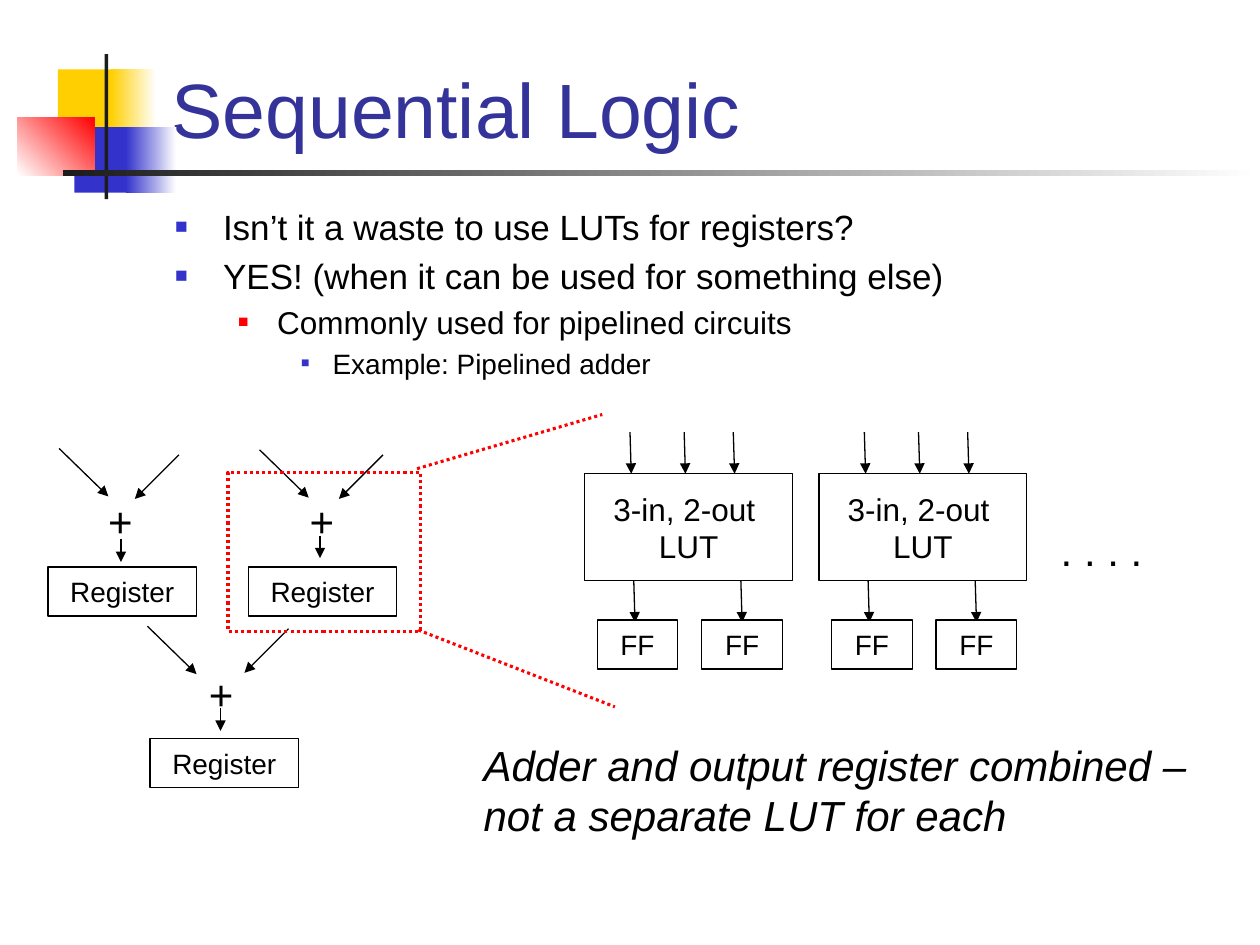
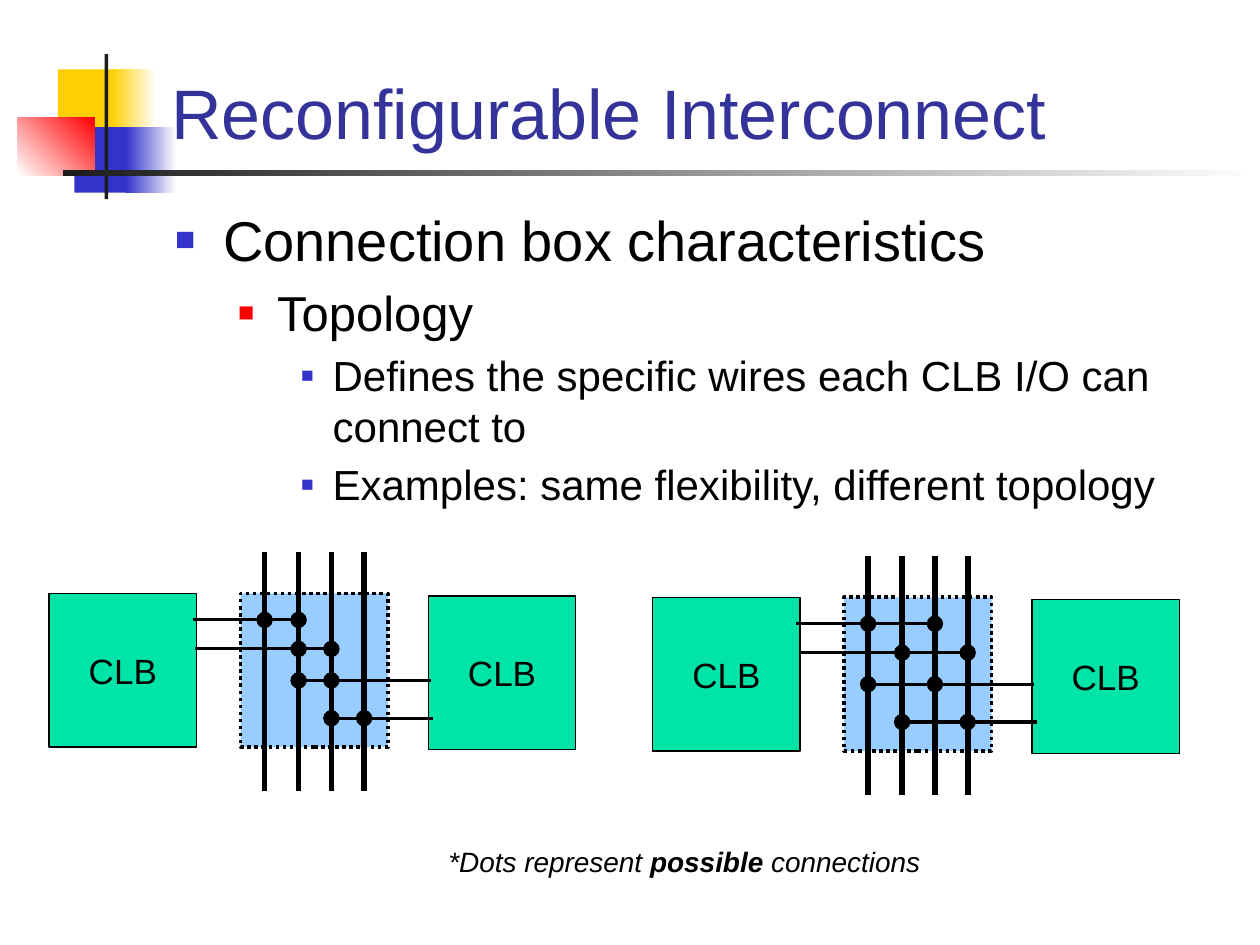
"""Build two slides on pipelined logic and reconfigurable interconnect."""
import pptx
import pptx.util
import pptx.dml.color
import pptx.enum.dml
import pptx.enum.shapes
import pptx.enum.text
import pptx.oxml.ns
from lxml import etree

Inches = pptx.util.Inches
Pt = pptx.util.Pt
qn = pptx.oxml.ns.qn
SHAPE = pptx.enum.shapes.MSO_SHAPE
ANCHOR = pptx.enum.text.MSO_ANCHOR
ALIGN = pptx.enum.text.PP_ALIGN

FONT = "Arial"
HUE = {"black": "000000", "white": "FFFFFF", "ink": "1C1C1C", "title": "333399",
       "blue": "3333CC", "gold": "FFCF01", "red": "FF0000", "green": "00E4A8",
       "sky": "99CCFF"}

BANDS = [
    ((0.46, 0.55, 0.48, 0.52), "gold", None, 0),
    ((0.88, 0.55, 0.36, 0.52), "gold", "white", 0),
    ((0.59, 1.01, 0.46, 0.52), "blue", None, 0),
    ((1, 1.01, 0.4, 0.52), "blue", "white", 0),
    ((0.14, 0.93, 0.61, 0.46), "white", "red", 45),
    ((0.83, 0.43, 0.03, 1.15), "ink", None, 0),
    ((0.5, 1.35, 9.5, 0.05), "ink", "white", 0),
]
LEVELS = [(0.38, -0.38, "blue", 60), (0.81, -0.31, "red", 55), (1.25, -0.25, "blue", 50)]

LOGIC = {
    "title": ("Sequential Logic", 44),
    "list": [
        (0, "Isn’t it a waste to use LUTs for registers?", 20),
        (0, "YES! (when it can be used for something else)", 20),
        (1, "Commonly used for pipelined circuits", 18),
        (2, "Example: Pipelined adder", 16),
    ],
}
ADDERS = [
    {"box": (0.38, 4.5), "plus": (0.76, 3.88), "left": (0.47, 3.56),
     "right": (1.42, 3.61), "down": (0.96, 4.28)},
    {"box": (1.97, 4.5), "plus": (2.36, 3.88), "left": (2.06, 3.57),
     "right": (3.04, 3.61), "down": (2.54, 4.25)},
    {"box": (1.19, 5.86), "plus": (1.56, 5.26), "left": (1.17, 4.97),
     "right": (2.29, 4.99), "down": (1.75, 5.62)},
]
STEPS = {"left": (0.39, 0.38), "right": (-0.35, 0.35), "down": (0, 0.18)}
LUTS = [4.64, 6.5]
PINS = [(0.36, 3.43), (0.79, 3.43), (1.18, 3.43), (0.39, 4.61), (1.24, 4.61)]
FLOPS = [0.1, 0.93]
ZOOM = [((3.31, 3.72), (4.78, 3.29)), ((3.32, 5), (4.88, 5.61))]

LINKS = {
    "title": ("Reconfigurable Interconnect", 40),
    "list": [
        (0, "Connection box characteristics", 32),
        (1, "Topology", 28),
        (2, "Defines the specific wires each CLB I/O can connect to", 24),
        (2, "Examples: same flexibility, different topology", 24),
    ],
}
WIRES = [2.1, 2.37, 2.63, 2.89]
ROWS = [(4.92, 1.53, "left"), (5.15, 1.55, "left"), (5.4, 3.42, "right"), (5.7, 3.44, "right")]
NETS = [
    (0, 0, [(0, 1), (1, 2), (1, 2), (2, 3)]),
    (4.79, 0.03, [(0, 2), (1, 3), (0, 2), (1, 3)]),
]
DOT = 0.12


def rgb(name):
    return pptx.dml.color.RGBColor.from_string(HUE[name])


def style(para, size, hue="black", italic=None):
    font = para.font
    font.name, font.size, font.italic = FONT, Pt(size), italic
    font.color.rgb = rgb(hue)


def draw(slide, spot, fill=None, edge="black", width=0.75, dots=False,
         kind=SHAPE.RECTANGLE, lines=(), size=16):
    shape = slide.shapes.add_shape(kind, *map(Inches, spot))
    shape.shadow.inherit = False
    if fill:
        shape.fill.solid()
        shape.fill.fore_color.rgb = rgb(fill)
    else:
        shape.fill.background()
    if edge:
        trim(shape.line, edge, width, dots)
    else:
        shape.line.fill.background()
    if lines:
        frame = shape.text_frame
        frame.text = "\n".join(lines)
        frame.word_wrap = False
        frame.vertical_anchor = ANCHOR.MIDDLE
        for para in frame.paragraphs:
            para.alignment = ALIGN.CENTER
            style(para, size)
    return shape


def trim(line, hue, width, dots):
    line.color.rgb = rgb(hue)
    line.width = Pt(width)
    if dots:
        line.dash_style = pptx.enum.dml.MSO_LINE.ROUND_DOT


def join(slide, start, end, hue="black", width=0.75, dots=False, head=False):
    line = slide.shapes.add_connector(
        pptx.enum.shapes.MSO_CONNECTOR.STRAIGHT, *map(Inches, (*start, *end)))
    trim(line.line, hue, width, dots)
    props = line._element.spPr
    if head:
        etree.SubElement(props.find(qn("a:ln")), qn("a:tailEnd"), type="triangle")
    etree.SubElement(props, qn("a:effectLst"))


def write(slide, spot, runs, size, italic=None):
    frame = slide.shapes.add_textbox(*map(Inches, spot)).text_frame
    frame.word_wrap = True
    para = frame.paragraphs[0]
    style(para, size, italic=italic)
    for text, bold in runs:
        run = para.add_run()
        run.text = text
        if bold:
            run.font.bold = True


def place(holder, spot, anchor):
    holder.left, holder.top, holder.width, holder.height = map(Inches, spot)
    frame = holder.text_frame
    frame.word_wrap = True
    frame.auto_size = pptx.enum.text.MSO_AUTO_SIZE.NONE
    frame.vertical_anchor = anchor
    return frame


def bullet(para, level):
    left, hang, hue, scale = LEVELS[level]
    para.level = level
    props = para._p.get_or_add_pPr()
    props.set("marL", str(Inches(left)))
    props.set("indent", str(Inches(hang)))
    tint = etree.SubElement(props, qn("a:buClr"))
    etree.SubElement(tint, qn("a:srgbClr"), val=HUE[hue])
    etree.SubElement(props, qn("a:buSzPct"), val=str(scale * 1000))
    etree.SubElement(props, qn("a:buFont"), typeface=FONT)
    etree.SubElement(props, qn("a:buChar"), char="■")


def start(deck, page):
    slide = deck.slides.add_slide(deck.slide_layouts[1])
    for spot, hue, fade, angle in BANDS:
        band = draw(slide, spot, hue, edge=None)
        if fade:
            band.fill.gradient()
            band.fill.gradient_angle = angle
            for stop, name in zip(band.fill.gradient_stops, (hue, fade)):
                stop.color.rgb = rgb(name)
    text, size = page["title"]
    frame = place(slide.shapes.title, (1.26, 0.02, 8.52, 1.25), ANCHOR.BOTTOM)
    frame.text = text
    frame.paragraphs[0].alignment = ALIGN.LEFT
    style(frame.paragraphs[0], size, "title")
    frame = place(slide.placeholders[1], (1.29, 1.58, 8.5, 5.12), ANCHOR.TOP)
    frame.text = "\n".join(text for _, text, _ in page["list"])
    for para, (level, _, size) in zip(frame.paragraphs, page["list"]):
        bullet(para, level)
        style(para, size)
    frame.paragraphs[0].space_before = Pt(0)
    return slide


def logic(deck):
    slide = start(deck, LOGIC)
    for left in LUTS:
        draw(slide, (left, 3.76, 1.65, 0.85), lines=("3-in, 2-out ", "LUT"), size=18)
        for pin, top in PINS:
            join(slide, (left + pin, top), (left + pin + 0.01, top + 0.33), head=True)
        for gap in FLOPS:
            draw(slide, (left + gap, 4.92, 0.64, 0.39), "white", lines=("FF",))
    for adder in ADDERS:
        write(slide, (*adder["plus"], 0.57, 0.5), [("+", False)], 24)
        draw(slide, (*adder["box"], 1.18, 0.39), "white", lines=("Register",))
        for name, (across, down) in STEPS.items():
            x, y = adder[name]
            join(slide, (x, y), (x + across, y + down), head=True)
    draw(slide, (1.81, 3.75, 1.53, 1.26), edge="red", width=1.75, dots=True)
    for ends in ZOOM:
        join(slide, *ends, hue="red", width=1.75, dots=True)
    write(slide, (8.32, 4.11, 1.32, 0.5), [(". . . .", False)], 24)
    write(slide, (3.74, 5.82, 6, 0.9),
          [("Adder and output register combined – not a separate LUT for each", False)],
          24, italic=True)


def links(deck):
    slide = start(deck, LINKS)
    for dx, dy, taps in NETS:
        for x, y in ((0.39, 4.71), (3.4, 4.73)):
            draw(slide, (x + dx, y + dy, 1.17, 1.22), "green", lines=("CLB",), size=20)
        draw(slide, (1.91 + dx, 4.71 + dy, 1.17, 1.22), "sky", width=2, dots=True)
        for x in WIRES:
            join(slide, (x + dx, 4.38 + dy), (x + dx, 6.28 + dy), width=3.25)
        for (y, port, side), pair in zip(ROWS, taps):
            spots = [WIRES[tap] for tap in pair]
            ends = (port, spots[1]) if side == "left" else (spots[0], port)
            join(slide, *((x + dx, y + dy) for x in ends), width=1.75)
            for x in spots:
                draw(slide, (x + dx - DOT / 2, y + dy - DOT / 2, DOT, DOT),
                     "black", kind=SHAPE.OVAL)
    write(slide, (3.46, 6.65, 5.31, 0.37),
          [("*Dots represent ", False), ("possible", True), (" connections", False)],
          16, italic=True)


def main():
    deck = pptx.Presentation()
    deck.slide_width, deck.slide_height = Inches(10), Inches(7.5)
    logic(deck)
    links(deck)
    deck.save("out.pptx")


if __name__ == "__main__":
    main()
